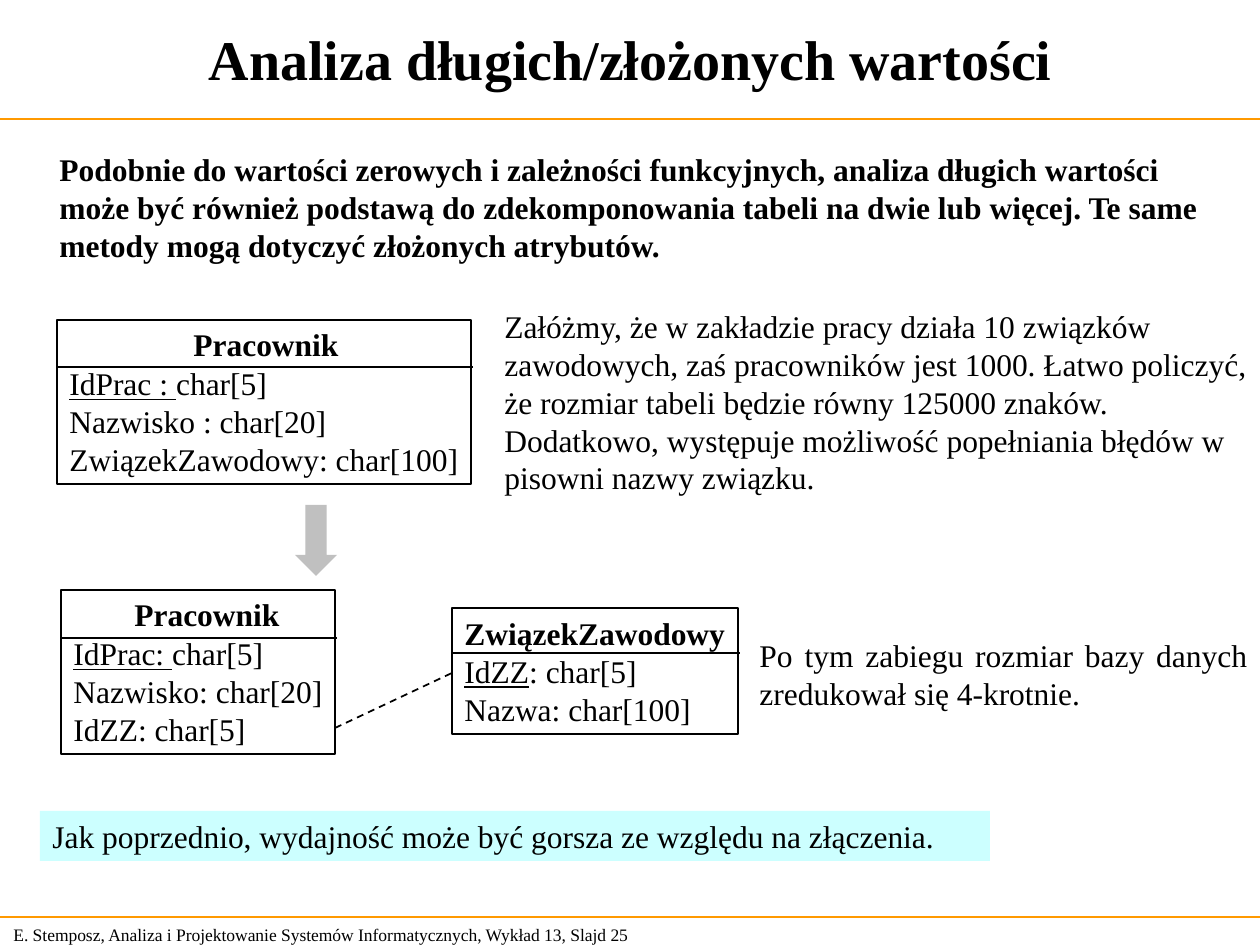
import pptx
import pptx.util
import pptx.dml.color
import pptx.enum.dml
import pptx.enum.shapes
import pptx.enum.text
from dataclasses import dataclass
from lxml import etree

WIDE, HIGH = 1260, 945
SCALE = 914400 / 126
ALIGN = pptx.enum.text.PP_ALIGN
ANCHOR = pptx.enum.text.MSO_ANCHOR
SHAPE = pptx.enum.shapes.MSO_SHAPE


@dataclass(frozen=True)
class Theme:
    face: str = "Times New Roman"
    ink: str = "000000"
    rule: str = "FF9900"
    note: str = "CCFFFF"
    arrow: str = "C0C0C0"
    title: int = 32
    body: int = 18
    foot: int = 10
    thin: float = 0.75
    line: float = 1


THEME = Theme()


def px(size):
    return pptx.util.Emu(round(size * SCALE))


def color(code):
    return pptx.dml.color.RGBColor.from_string(code)


def write(shape, lines, size=THEME.body, bold=False, align=ALIGN.LEFT,
          anchor=ANCHOR.TOP, wrap=True):
    frame = shape.text_frame
    frame.word_wrap = wrap
    frame.vertical_anchor = anchor
    for i, line in enumerate(lines):
        para = frame.paragraphs[0] if i == 0 else frame.add_paragraph()
        para.alignment = align
        font = para.font
        font.name, font.size, font.bold = THEME.face, pptx.util.Pt(size), bold
        font.color.rgb = color(THEME.ink)
        key, rest = line if isinstance(line, tuple) else ("", line)
        if key:
            run = para.add_run()
            run.text = key
            run.font.underline = True
        para.add_run().text = rest


def add_text(slide, box, text, **style):
    shape = slide.shapes.add_textbox(*map(px, box))
    write(shape, [text], **style)


def add_shape(slide, kind, box, fill=None, edge=None):
    shape = slide.shapes.add_shape(kind, *map(px, box))
    shape.shadow.inherit = False
    if fill:
        shape.fill.solid()
        shape.fill.fore_color.rgb = color(fill)
    else:
        shape.fill.background()
    if edge:
        shape.line.color.rgb = color(edge)
        shape.line.width = pptx.util.Pt(THEME.line)
    else:
        shape.line.fill.background()
    return shape


def add_line(slide, ends, tint=THEME.ink, width=THEME.line, dash=False):
    line = slide.shapes.add_connector(
        pptx.enum.shapes.MSO_CONNECTOR.STRAIGHT, *map(px, ends))
    line.line.color.rgb = color(tint)
    line.line.width = pptx.util.Pt(width)
    if dash:
        line.line.dash_style = pptx.enum.dml.MSO_LINE.DASH
    etree.SubElement(line._element.spPr, pptx.oxml.ns.qn("a:effectLst"))


def add_class(slide, box, name, spot, split, fields):
    left, top, width, height = box
    shape = add_shape(slide, SHAPE.RECTANGLE, box, edge=THEME.ink)
    write(shape, fields, anchor=ANCHOR.BOTTOM, wrap=False)
    add_line(slide, (left, split, left + width + 2, split))
    add_text(slide, spot, name, bold=True, wrap=False)


def add_title(slide, text):
    title = slide.shapes.title
    title.left, title.top, title.width, title.height = map(
        px, (0, 0, 1262, 116))
    write(title, [text], size=THEME.title, bold=True, align=ALIGN.CENTER,
          anchor=ANCHOR.MIDDLE)


def main():
    deck = pptx.Presentation()
    deck.slide_width, deck.slide_height = px(WIDE), px(HIGH)
    slide = deck.slides.add_slide(deck.slide_layouts[5])

    add_title(slide, "Analiza długich/złożonych wartości")
    for y in (119, 917):
        add_line(slide, (0, y, WIDE, y), THEME.rule, THEME.thin)
    add_text(slide, (1, 917, 660, 34),
             "E. Stemposz, Analiza i Projektowanie Systemów "
             "Informatycznych, Wykład 13, Slajd 25",
             size=THEME.foot, anchor=ANCHOR.MIDDLE)

    add_text(slide, (47, 144, 1166, 126),
             "Podobnie do wartości zerowych i zależności funkcyjnych, "
             "analiza długich wartości może być również podstawą do "
             "zdekomponowania tabeli na dwie lub więcej. Te same metody "
             "mogą dotyczyć złożonych atrybutów.", bold=True)
    add_text(slide, (492, 301, 768, 202),
             "Załóżmy, że w zakładzie pracy działa 10 związków "
             "zawodowych, zaś pracowników jest 1000. Łatwo policzyć, że "
             "rozmiar tabeli będzie równy 125000 znaków. Dodatkowo, "
             "występuje możliwość popełniania błędów w pisowni nazwy "
             "związku.")

    add_class(slide, (57, 320, 414, 164), "Pracownik",
              (181, 319, 170, 50), 367,
              [("IdPrac : ", "char[5]"), "Nazwisko : char[20]",
               "ZwiązekZawodowy: char[100]"])
    add_shape(slide, SHAPE.DOWN_ARROW, (295, 505, 42, 71), THEME.arrow)
    add_class(slide, (61, 590, 274, 164), "Pracownik",
              (122, 589, 170, 50), 638,
              [("IdPrac: ", "char[5]"), "Nazwisko: char[20]",
               "IdZZ: char[5]"])
    add_class(slide, (452, 608, 286, 126), "ZwiązekZawodowy",
              (452, 608, 286, 50), 653,
              [("IdZZ", ": char[5]"), "Nazwa: char[100]"])
    add_line(slide, (335, 728, 452, 673), dash=True)

    add_text(slide, (747, 630, 513, 88),
             "Po tym zabiegu rozmiar bazy danych zredukował się "
             "4-krotnie.", align=ALIGN.JUSTIFY)
    note = add_shape(slide, SHAPE.RECTANGLE, (40, 811, 950, 50), THEME.note)
    write(note, ["Jak poprzednio, wydajność może być gorsza ze względu "
                 "na złączenia."])

    deck.save("out.pptx")


if __name__ == "__main__":
    main()
